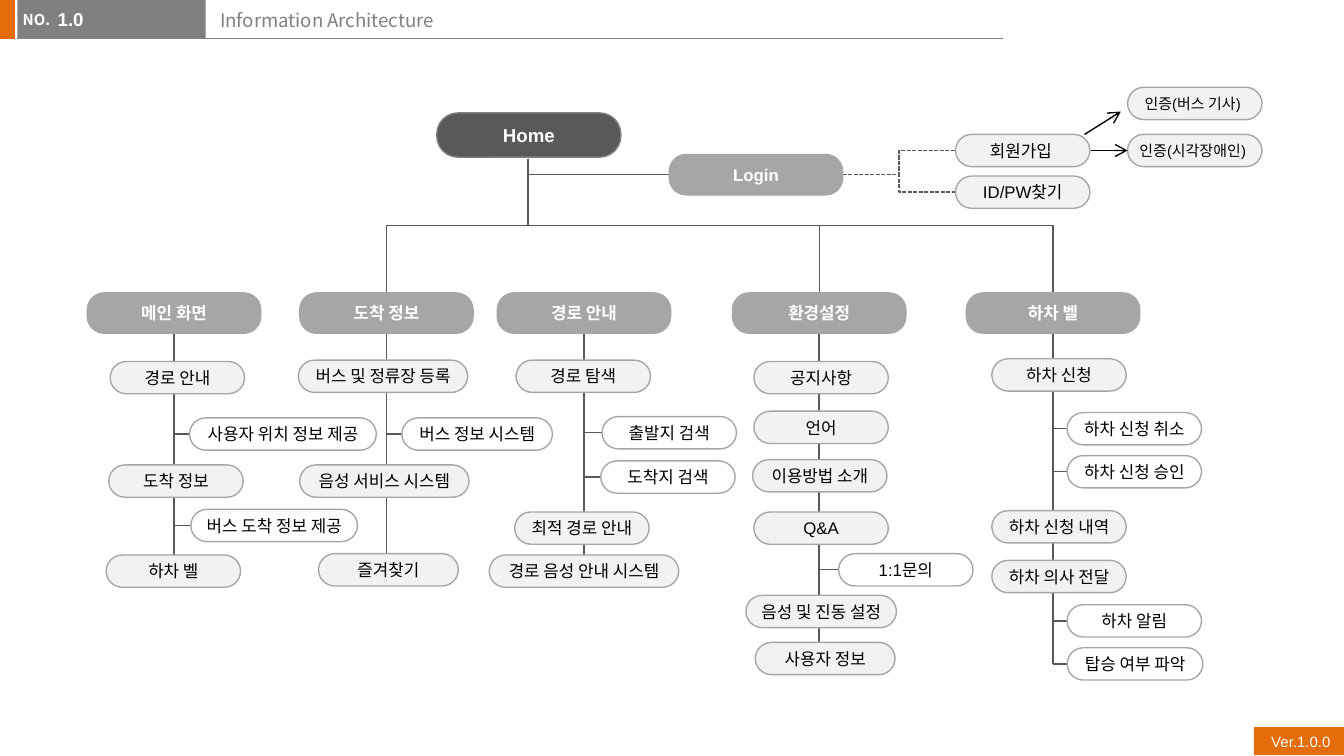
from dataclasses import dataclass

from lxml import etree
from pptx import Presentation
from pptx.dml.color import RGBColor
from pptx.enum import dml, shapes, text
from pptx.oxml.ns import qn
from pptx.util import Inches, Pt


@dataclass(frozen=True)
class Theme:
    """Colours, fonts and type sizes of the slide."""
    orange: str = "E46C0A"
    grey: str = "808080"
    dark: str = "595959"
    mid: str = "A6A6A6"
    pale: str = "F2F2F2"
    white: str = "FFFFFF"
    black: str = "000000"
    latin: str = "Arial"
    korean: str = "Noto Sans CJK KR"
    large: int = 10
    normal: int = 9
    small: int = 8


THEME = Theme()
SLIDE_WIDTH = 10
SLIDE_HEIGHT = SLIDE_WIDTH * 9 / 16
NODE_HEIGHT = 0.24
HEADER_WIDTH, HEADER_HEIGHT = 1.29, 0.3
SHAPE = shapes.MSO_SHAPE
LINK = shapes.MSO_CONNECTOR

# Left edge, title and entries of each menu column.
# An entry is: kind, left and top within the column, width, label.
COLUMN_TOP = 2.18
COLUMNS = [
    (0.65, "메인 화면", [
        ("step", 0.17, 0.51, 1, "경로 안내"),
        ("detail", 0.76, 0.93, 1.39, "사용자 위치 정보 제공"),
        ("step", 0.16, 1.28, 1, "도착 정보"),
        ("detail", 0.77, 1.61, 1.24, "버스 도착 정보 제공"),
        ("step", 0.14, 1.95, 1, "하차 벨")]),
    (2.23, "도착 정보", [
        ("step", -0.01, 0.5, 1.26, "버스 및 정류장 등록"),
        ("detail", 0.76, 0.93, 1.12, "버스 정보 시스템"),
        ("step", 0, 1.28, 1.26, "음성 서비스 시스템"),
        ("step", 0.14, 1.94, 1.04, "즐겨찾기")]),
    (3.7, "경로 안내", [
        ("step", 0.14, 0.5, 1, "경로 탐색"),
        ("detail", 0.78, 0.92, 1, "출발지 검색"),
        ("detail", 0.77, 1.25, 1, "도착지 검색"),
        ("step", 0.13, 1.63, 1, "최적 경로 안내"),
        ("step", -0.06, 1.95, 1.41, "경로 음성 안내 시스템")]),
    (5.45, "환경설정", [
        ("step", 0.16, 0.51, 1, "공지사항"),
        ("step", 0.16, 0.88, 1, "언어"),
        ("step", 0.15, 1.24, 1, "이용방법 소개"),
        ("step", 0.16, 1.63, 1, "Q&A"),
        ("detail", 0.79, 1.94, 1, "1:1문의"),
        ("step", 0.1, 2.25, 1.12, "음성 및 진동 설정"),
        ("step", 0.17, 2.6, 1.04, "사용자 정보")]),
    (7.19, "하차 벨", [
        ("step", 0.19, 0.49, 1, "하차 신청"),
        ("detail", 0.75, 0.89, 1, "하차 신청 취소"),
        ("detail", 0.75, 1.21, 1, "하차 신청 승인"),
        ("step", 0.19, 1.62, 1, "하차 신청 내역"),
        ("step", 0.19, 1.99, 1, "하차 의사 전달"),
        ("detail", 0.75, 2.32, 1, "하차 알림"),
        ("detail", 0.75, 2.64, 1.01, "탑승 여부 파악")]),
]


def rgb(code):
    """Turn a hex code into a colour."""
    return RGBColor.from_string(code)


def write(frame, label, size, color, bold=False, font=THEME.latin, before=0,
          align=text.PP_ALIGN.LEFT, insets=(0.1, 0.05, 0.1, 0.05)):
    """Fill a text frame with one styled line."""
    (frame.margin_left, frame.margin_top,
     frame.margin_right, frame.margin_bottom) = map(Inches, insets)
    frame.text = label
    line = frame.paragraphs[0]
    line.alignment, line.space_before = align, Pt(before)
    run = line.runs[0]
    run.font.name, run.font.size, run.font.bold = font, Pt(size), bold
    run.font.color.rgb = rgb(color)
    east_asian = etree.SubElement(run.font._element, qn("a:ea"))
    east_asian.set("typeface", THEME.korean)


def block(slide, box, fill, kind=SHAPE.RECTANGLE, outline=None):
    """Draw a flat filled shape."""
    shape = slide.shapes.add_shape(kind, *map(Inches, box))
    shape.shadow.inherit = False
    shape.fill.solid()
    shape.fill.fore_color.rgb = rgb(fill)
    if outline:
        shape.line.color.rgb = rgb(outline)
        shape.line.width = Pt(0.75)
    else:
        shape.line.fill.background()
    shape.text_frame.vertical_anchor = text.MSO_ANCHOR.MIDDLE
    return shape


def node(slide, box, label, fill=THEME.pale, outline=THEME.mid, size=THEME.normal,
         color=THEME.black, bold=False, rounding=0.5):
    """Draw one rounded, labelled entry."""
    shape = block(slide, box, fill, SHAPE.ROUNDED_RECTANGLE, outline)
    shape.adjustments[0] = rounding
    shape.text_frame.word_wrap = True
    write(shape.text_frame, label, size, color, bold, before=1,
          align=text.PP_ALIGN.CENTER, insets=(0.02,) * 4)


def header(slide, left, top, label):
    """Draw a grey header entry."""
    node(slide, (left, top, HEADER_WIDTH, HEADER_HEIGHT), label, fill=THEME.mid,
         color=THEME.white, bold=True, rounding=0.417)


def link(slide, start, end, kind=LINK.STRAIGHT, color=THEME.dark, width=0.75,
         dashed=False, arrow=False):
    """Join two points with a connector."""
    line = slide.shapes.add_connector(kind, *map(Inches, (*start, *end)))
    line.line.color.rgb = rgb(color)
    line.line.width = Pt(width)
    if dashed:
        line.line.dash_style = dml.MSO_LINE.SQUARE_DOT
    if arrow:
        etree.SubElement(line.line._get_or_add_ln(), qn("a:tailEnd")).set("type", "arrow")
    etree.SubElement(line.element.spPr, qn("a:effectLst"))
    return line


def drop_link(slide, start, end, single_bend=False):
    """Join two points with an elbow that leaves downwards."""
    (x1, y1), (x2, y2) = start, end
    run, drop = abs(x2 - x1), y2 - y1
    left, top = (x1 + x2 - drop) / 2, (y1 + y2 - run) / 2
    line = link(slide, (left, top), (left + drop, top + run), LINK.ELBOW)
    xfrm = line.element.spPr.find(qn("a:xfrm"))
    xfrm.set("rot", str((90 if x2 < x1 else 270) * 60000))
    if x2 > x1:
        xfrm.set("flipH", "1")
    if single_bend:
        line.element.spPr.find(qn("a:prstGeom")).set("prst", "bentConnector2")


def title_bar(slide, left, top):
    """Draw the numbered title strip."""
    block(slide, (left - 0.14, top, 0.12, 0.29), THEME.orange)
    link(slide, (left, top + 0.29), (left + 7.33, top + 0.29), color=THEME.grey, width=0.5)
    block(slide, (left, top, 1.4, 0.29), THEME.grey)
    labels = [
        ((-0.06, 0.03, 0.41, 0.24), "NO.", dict(
            size=THEME.small, color=THEME.white, bold=True, font=THEME.korean)),
        ((1.41, 0.02, 5.91, 0.32), "Information Architecture", dict(
            size=THEME.large, color=THEME.grey, font=THEME.korean)),
        ((0.3, 0.01, 1.1, 0.31), "1.0", dict(
            size=THEME.large, color=THEME.white, bold=True, before=2,
            insets=(0, 0.05, 0, 0.05))),
    ]
    for (dx, dy, width, height), label, style in labels:
        area = slide.shapes.add_textbox(*map(Inches, (left + dx, top + dy, width, height)))
        area.text_frame.word_wrap = label != "NO."
        write(area.text_frame, label, **style)


def version_tag(slide, box):
    """Draw the version label in the corner."""
    tag = block(slide, box, THEME.orange)
    write(tag.text_frame, " Ver.1.0.0", THEME.small, THEME.white, insets=(0.1, 0, 0, 0))


def entry_flow(slide, left, top):
    """Draw Home, Login and the sign-up branch."""
    home = (left + 0.68, top + 0.34)
    login = (left + 1.73, top + 0.31)
    for column_left, _, _ in COLUMNS[1::2] + COLUMNS[4:]:
        drop_link(slide, home, (column_left + HEADER_WIDTH / 2, COLUMN_TOP))
    drop_link(slide, home, (login[0], login[1] + HEADER_HEIGHT / 2), single_bend=True)
    login_exit = (login[0] + HEADER_WIDTH, login[1] + HEADER_HEIGHT / 2)
    for dy, label in ((0.16, "회원가입 "), (0.47, "ID/PW찾기")):
        link(slide, login_exit, (left + 3.86, top + dy + NODE_HEIGHT / 2),
             LINK.ELBOW, dashed=True)
        node(slide, (left + 3.86, top + dy, 1, NODE_HEIGHT), label)
    for dy, label in ((-0.19, "인증(버스 기사) "), (0.16, "인증(시각장애인) ")):
        node(slide, (left + 5.14, top + dy, 1, NODE_HEIGHT), label, size=THEME.small)
    for start, end in (((4.82, 0.16), (5.09, -0.01)), ((4.87, 0.28), (5.14, 0.28))):
        link(slide, (left + start[0], top + start[1]), (left + end[0], top + end[1]),
             color=THEME.black, arrow=True)
    node(slide, (left, top, 1.37, 0.33), "Home", fill=THEME.dark, outline=THEME.grey,
         size=THEME.large, color=THEME.white, bold=True, rounding=0.479)
    header(slide, *login, "Login")


def menu_column(slide, left, top, title, entries):
    """Draw a header with its steps and side details along a spine."""
    spine, middle = left + HEADER_WIDTH / 2, NODE_HEIGHT / 2
    link(slide, (spine, top + HEADER_HEIGHT), (spine, top + entries[-1][2] + middle))
    header(slide, left, top, title)
    for kind, dx, dy, width, label in entries:
        if kind == "detail":
            link(slide, (spine, top + dy + middle), (left + dx, top + dy + middle))
        node(slide, (left + dx, top + dy, width, NODE_HEIGHT), label,
             fill=THEME.white if kind == "detail" else THEME.pale)


def main():
    """Build and save the slide."""
    deck = Presentation()
    deck.slide_width, deck.slide_height = Inches(SLIDE_WIDTH), Inches(SLIDE_HEIGHT)
    slide = deck.slides.add_slide(deck.slide_layouts[6])
    title_bar(slide, 0.13, 0)
    version_tag(slide, (9.33, 5.41, 0.67, 0.21))
    entry_flow(slide, 3.25, 0.84)
    for left, title, entries in COLUMNS:
        menu_column(slide, left, COLUMN_TOP, title, entries)
    deck.save("out.pptx")


main()
